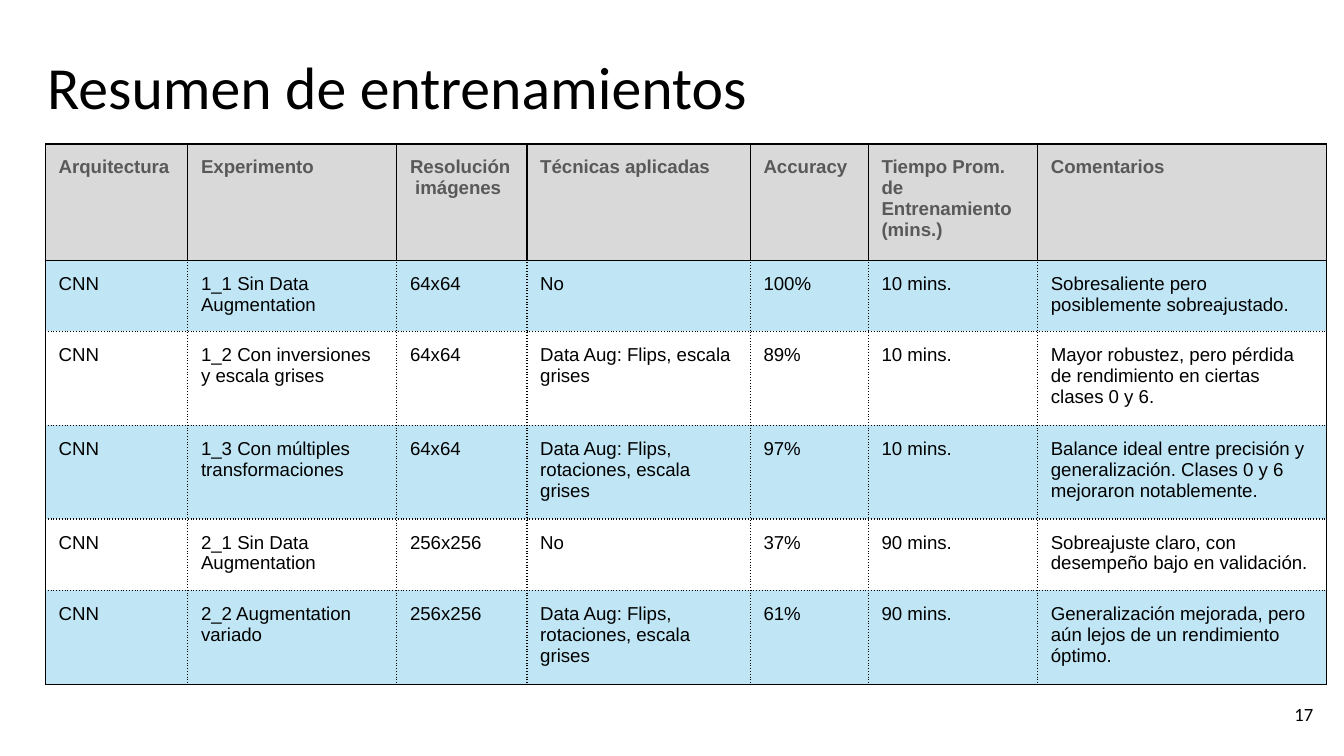
from lxml import etree
from pptx import Presentation
from pptx.dml.color import RGBColor
from pptx.enum.text import MSO_ANCHOR, MSO_AUTO_SIZE, PP_ALIGN
from pptx.oxml.ns import qn
from pptx.util import Cm, Pt

LEFT, RIGHT = PP_ALIGN.LEFT, PP_ALIGN.RIGHT
TOP, MID, LOW = MSO_ANCHOR.TOP, MSO_ANCHOR.MIDDLE, MSO_ANCHOR.BOTTOM
FIXED = MSO_AUTO_SIZE.NONE

COLORS = {"ink": "000000", "head": "595959", "gray": "D9D9D9", "blue": "C0E6F5"}
PAD = Cm(0.25)
SIDES = ("left", "right", "top", "bottom")
INSET = {"margin_" + side: PAD for side in SIDES}
TITLE = {"name": "Calibri", "size": Pt(32), "bold": False}
PAGE = {"name": "Calibri", "size": Pt(10), "bold": False}
HEAD = {"name": "Arial", "size": Pt(10), "bold": True}
BODY = {**HEAD, "bold": False}

WIDTHS = (2.69, 3.95, 2.46, 4.22, 2.23, 3.2, 5.46)
HEIGHTS = (1.73, 1.32, 1.47, 1.47, 1.19, 1.42)
ROWS = (
    ("Arquitectura", "Experimento", "Resolución\n imágenes", "Técnicas aplicadas",
     "Accuracy", "Tiempo Prom. de Entrenamiento (mins.)", "Comentarios"),
    ("CNN", "1_1 Sin Data Augmentation", "64x64", "No", "100%", "10 mins.",
     "Sobresaliente pero posiblemente sobreajustado."),
    ("CNN", "1_2 Con inversiones y escala grises", "64x64",
     "Data Aug: Flips, escala grises", "89%", "10 mins.",
     "Mayor robustez, pero pérdida de rendimiento en ciertas clases 0 y 6."),
    ("CNN", "1_3 Con múltiples transformaciones", "64x64",
     "Data Aug: Flips, rotaciones, escala grises", "97%", "10 mins.",
     "Balance ideal entre precisión y generalización. "
     "Clases 0 y 6 mejoraron notablemente."),
    ("CNN", "2_1 Sin Data Augmentation", "256x256", "No", "37%", "90 mins.",
     "Sobreajuste claro, con desempeño bajo en validación."),
    ("CNN", "2_2 Augmentation variado", "256x256",
     "Data Aug: Flips, rotaciones, escala grises", "61%", "90 mins.",
     "Generalización mejorada, pero aún lejos de un rendimiento óptimo."),
)


def apply(item, values):
    """Set each named attribute of an item."""
    for name, value in values.items():
        setattr(item, name, value)


def write(frame, text, font, color, align=LEFT):
    """Fill a text frame and format its paragraphs."""
    frame.text = text
    for para in frame.paragraphs:
        para.alignment = align
        for run in para.runs:
            apply(run.font, font)
            run.font.color.rgb = RGBColor.from_string(COLORS[color])


def place(shape, box):
    """Move a shape to a box given in centimetres."""
    apply(shape, dict(zip(("left", "top", "width", "height"), map(Cm, box))))


def border(cell, solid):
    """Rule the four sides of a cell, dotted unless named in solid."""
    props = cell._tc.get_or_add_tcPr()
    for side in SIDES:
        line = etree.SubElement(props, qn("a:ln" + side[0].upper()), w=str(Pt(0.75)))
        fill = etree.SubElement(line, qn("a:solidFill"))
        etree.SubElement(fill, qn("a:srgbClr"), val=COLORS["ink"])
        dash = "solid" if side in solid else "sysDot"
        etree.SubElement(line, qn("a:prstDash"), val=dash)


def edges(row, col):
    """Name the solid sides of the cell at a row and column."""
    if row == 0:
        return SIDES
    tests = {"left": col == 0, "right": col == len(WIDTHS) - 1,
             "top": row == 1, "bottom": row == len(ROWS) - 1}
    return [side for side, hit in tests.items() if hit]


def add_title(slide, box):
    """Place the slide title."""
    title = slide.shapes.title
    place(title, box)
    frame = title.text_frame
    apply(frame, {**INSET, "word_wrap": True, "auto_size": FIXED,
                  "vertical_anchor": LOW})
    write(frame, "Resumen de entrenamientos", TITLE, "ink")


def add_grid(slide, box):
    """Place the table of training runs."""
    shape = slide.shapes.add_table(len(ROWS), len(WIDTHS), *map(Cm, box))
    table = shape.table
    table.horz_banding = False
    for col, width in zip(table.columns, WIDTHS):
        col.width = Cm(width)
    for row, height in zip(table.rows, HEIGHTS):
        row.height = Cm(height)
    place(shape, box)
    for r, texts in enumerate(ROWS):
        font, ink = (BODY, "ink") if r else (HEAD, "head")
        for c, text in enumerate(texts):
            cell = table.cell(r, c)
            apply(cell, {**INSET, "vertical_anchor": TOP})
            write(cell.text_frame, text, font, ink)
            border(cell, edges(r, c))
            if r and r % 2 == 0:
                cell.fill.background()
            else:
                cell.fill.solid()
                shade = COLORS["blue" if r else "gray"]
                cell.fill.fore_color.rgb = RGBColor.from_string(shade)


def add_page(slide, box):
    """Place the page number."""
    frame = slide.shapes.add_textbox(*map(Cm, box)).text_frame
    apply(frame, {**INSET, "word_wrap": True, "vertical_anchor": MID})
    write(frame, "17", PAGE, "ink", RIGHT)


def main():
    """Build and save the slide."""
    deck = Presentation()
    apply(deck, {"slide_width": Cm(25.4), "slide_height": Cm(14.29)})
    slide = deck.slides.add_slide(deck.slide_layouts[5])
    add_title(slide, (0.64, 0.23, 23.67, 2.31))
    add_page(slide, (23.55, 12.95, 1.52, 1.09))
    add_grid(slide, (0.86, 2.72, 24.21, 10.24))
    deck.save("out.pptx")


if __name__ == "__main__":
    main()
